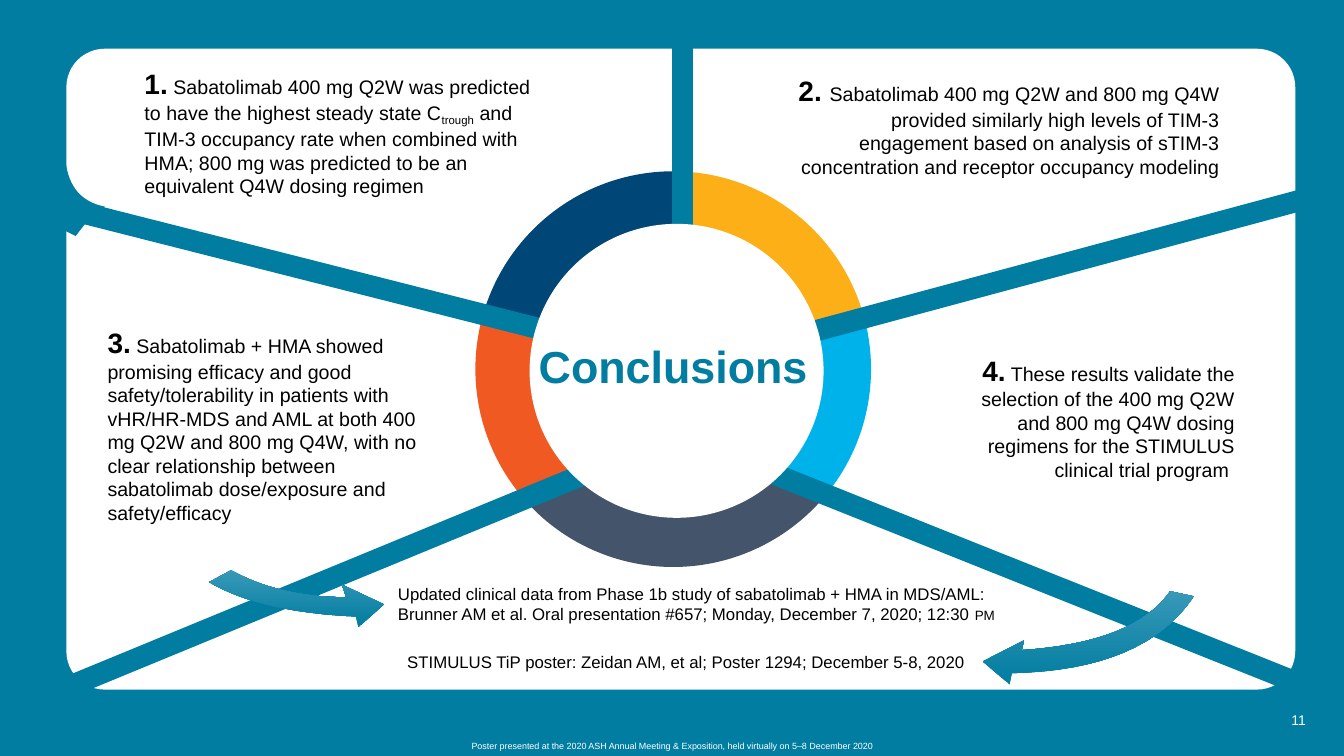
from dataclasses import dataclass

from lxml import etree
from pptx import Presentation
from pptx.dml.color import RGBColor
from pptx.enum.shapes import MSO_CONNECTOR, MSO_SHAPE
from pptx.enum.text import MSO_ANCHOR, MSO_AUTO_SIZE, PP_ALIGN
from pptx.oxml.ns import qn
from pptx.util import Pt

LEFT, CENTER, RIGHT = PP_ALIGN.LEFT, PP_ALIGN.CENTER, PP_ALIGN.RIGHT
TOP, MIDDLE = MSO_ANCHOR.TOP, MSO_ANCHOR.MIDDLE
NO_AUTOFIT = MSO_AUTO_SIZE.NONE
STRAIGHT = MSO_CONNECTOR.STRAIGHT
ROUNDED, PIE, OVAL = MSO_SHAPE.ROUNDED_RECTANGLE, MSO_SHAPE.PIE, MSO_SHAPE.OVAL
CELL, COLUMNS, ROWS = 76200, 160, 90
COMPARISON_LAYOUT = 4
DEGREE = 0.6


@dataclass(frozen=True)
class Theme:
    """Colours and type sizes of the slide."""
    font: str = "Arial"
    teal: str = "007DA0"
    light_teal: str = "3898B8"
    white: str = "FFFFFF"
    black: str = "000000"
    segments: tuple = ("FCAF17", "00B2EA", "44546A", "F15922", "004676")
    title: int = 32
    number: int = 20
    body: int = 14
    reference: int = 12
    footer: int = 11
    page: int = 10
    spoke: float = 15.25


THEME = Theme()
SEGMENT_BOUNDS = (273, 345, 41.5, 136, 196, 273)
SPOKES = (
    ((-11.75, -3.75), (-75.6, -19.95)),
    ((-7.55, 11.25), (-72.2, 37.9)),
    ((11.05, 12.1), (76.95, 38.4)),
    ((13.95, -3.75), (75.4, -20.3)),
    ((1.1, -5.2), (1.1, -40.95)),
)
CONCLUSIONS = (
    ((16, 6.2, 49.8, 19.1), LEFT, "1.", (
        (" Sabatolimab 400 mg Q2W was predicted to have the highest steady state C", {}),
        ("trough", {"baseline": "-25000"}),
        (" and TIM-3 occupancy rate when combined with HMA; 800 mg was predicted "
         "to be an equivalent Q4W dosing regimen", {}))),
    ((92.3, 5.9, 54.1, 18.2), RIGHT, "2. ", (
        ("Sabatolimab 400 mg Q2W and 800 mg Q4W provided similarly high levels of TIM-3 "
         "engagement based on analysis of sTIM-3 concentration and receptor occupancy "
         "modeling", {}),)),
    ((11.6, 38.5, 41.5, 24.2), LEFT, "3.", (
        (" Sabatolimab + HMA showed promising efficacy and good safety/tolerability in "
         "patients with vHR/HR-MDS and AML at both 400 mg Q2W and 800 mg Q4W, with no "
         "clear relationship between sabatolimab dose/exposure and safety/efficacy", {}),)),
    ((113.8, 37.6, 34.4, 24.2), RIGHT, "4.", (
        (" These results validate the selection of the 400 mg Q2W and 800 mg Q4W dosing "
         "regimens for the STIMULUS clinical trial program ", {}),)),
)
ARROWS = (
    ((24.9, 67.9), ((2.6, 0), (8.45, 3.2), (16.3, 3.2)),
     ((15.8, 1.7), (20.8, 4.05), (17.75, 6.8)),
     ((17.5, 5.5), (6.1, 5), (0, 1.4))),
    ((117, 70.4), ((25.1, 0.6), (19.3, 9.4), (3.45, 9.75)),
     ((3.2, 11.1), (0, 8.35), (4.9, 5.85)),
     ((4.65, 7), (18.1, 6.1), (22.3, 0))),
)
CORNER_CURVE = ((-0.1, 13.3), (0.4, 18), (4.6, 18.8))
CORNER_NOTCH = ((2.2, 20.9), (1.1, 22.3), (-0.1, 21.7))


def emu(*cells):
    """Turn grid cells into slide lengths."""
    return [round(cell * CELL) for cell in cells]


def assign(target, **values):
    """Set attributes from a dict of format values."""
    for name, value in values.items():
        setattr(target, name, value)


def paint(shape, color):
    """Give a shape a flat fill without outline or shadow."""
    shape.shadow.inherit = False
    shape.fill.solid()
    shape.fill.fore_color.rgb = RGBColor.from_string(color)
    shape.line.fill.background()


def add_shape(slide, kind, box, color, adjustments=()):
    """Add a flat preset shape."""
    shape = slide.shapes.add_shape(kind, *emu(*box))
    paint(shape, color)
    for index, value in enumerate(adjustments):
        shape.adjustments[index] = value


def curve(start, control, end, steps=16):
    """Sample a quadratic curve."""
    shares = [step / steps for step in range(steps + 1)]
    return [tuple((1 - t) ** 2 * a + 2 * t * (1 - t) * b + t ** 2 * c
                  for a, b, c in zip(start, control, end)) for t in shares]


def add_outline(slide, origin, points, color):
    """Add a flat closed outline of points given from an origin."""
    outline = [emu(origin[0] + x, origin[1] + y) for x, y in points]
    builder = slide.shapes.build_freeform(*outline[0])
    builder.add_line_segments(outline[1:])
    shape = builder.convert_to_shape()
    paint(shape, color)
    return shape


def add_run(paragraph, text, size, color, bold=False, **attributes):
    """Append a formatted run."""
    run = paragraph.add_run()
    run.text = text
    assign(run.font, name=THEME.font, size=Pt(size), bold=bold)
    run.font.color.rgb = RGBColor.from_string(color)
    for name, value in attributes.items():
        run._r.get_or_add_rPr().set(name, value)


def set_text_box(shape, box, align, anchor=MIDDLE):
    """Place a text shape on top and return its first paragraph."""
    assign(shape, **dict(zip(("left", "top", "width", "height"), emu(*box))))
    shape.element.getparent().append(shape.element)
    frame = shape.text_frame
    assign(frame, word_wrap=True, auto_size=NO_AUTOFIT, vertical_anchor=anchor)
    paragraph = frame.paragraphs[0]
    assign(paragraph, alignment=align, space_before=Pt(0))
    return paragraph


def add_label(slide, box, text, size, anchor, **attributes):
    """Add a centred white line of text."""
    shape = slide.shapes.add_textbox(*emu(*box))
    paragraph = set_text_box(shape, box, CENTER, anchor)
    add_run(paragraph, text, size, THEME.white, **attributes)


def draw_panel(slide, box):
    """Draw the white panel and round its upper left sector."""
    add_shape(slide, ROUNDED, box, THEME.white, (0.06,))
    add_outline(slide, box[:2], (*curve(*CORNER_CURVE), *CORNER_NOTCH), THEME.teal)


def draw_wheel(slide, box):
    """Draw the coloured ring, the spokes and the hub."""
    left, top, width, height = box
    x, y = left + width / 2, top + height / 2
    for color, start, end in zip(THEME.segments, SEGMENT_BOUNDS, SEGMENT_BOUNDS[1:]):
        add_shape(slide, PIE, box, color, (start * DEGREE, end * DEGREE))
    for (x1, y1), (x2, y2) in SPOKES:
        spoke = slide.shapes.add_connector(STRAIGHT, *emu(x + x1, y + y1, x + x2, y + y2))
        spoke.line.width = Pt(THEME.spoke)
        spoke.line.color.rgb = RGBColor.from_string(THEME.teal)
        etree.SubElement(spoke.element.spPr, qn("a:effectLst"))
    hub = 35
    add_shape(slide, OVAL, (x + 0.4 - hub / 2, y + 0.2 - hub / 2, hub, hub), THEME.white)


def draw_arrow(slide, origin, outer, head, inner):
    """Draw a curved arrow from its two edges and its head."""
    arrow = add_outline(slide, origin, (*curve(*outer), *head, *curve(*inner)), THEME.teal)
    arrow.fill.gradient()
    arrow.fill.gradient_angle = 90
    for stop, color in zip(arrow.fill.gradient_stops, (THEME.teal, THEME.light_teal)):
        stop.color.rgb = RGBColor.from_string(color)


def write_conclusion(shape, box, align, number, parts):
    """Write one numbered conclusion in a body placeholder."""
    paragraph = set_text_box(shape, box, align)
    properties = paragraph._p.get_or_add_pPr()
    for name in ("marL", "indent"):
        properties.set(name, "0")
    etree.SubElement(properties, qn("a:buNone"))
    add_run(paragraph, number, THEME.number, THEME.black, True)
    for text, attributes in parts:
        add_run(paragraph, text, THEME.body, THEME.black, **attributes)


def write_references(slide, box):
    """Write the two related presentations."""
    shape = slide.shapes.add_textbox(*emu(*box))
    talk = set_text_box(shape, box, LEFT)
    talk._p.get_or_add_pPr().set("marL", str(3 * CELL))
    poster = shape.text_frame.add_paragraph()
    assign(poster, alignment=CENTER, space_before=Pt(20))
    style = (THEME.reference, THEME.black)
    add_run(talk, "Updated clinical data from Phase 1b study of sabatolimab + HMA in MDS/AML: "
            "Brunner AM et al. Oral presentation #657; Monday, December 7, 2020; 12:30 ", *style)
    add_run(talk, "pm", *style, cap="small")
    add_run(poster, "STIMULUS TiP poster: Zeidan AM, et al; Poster 1294; December 5-8, 2020", *style)


def main():
    """Build the conclusions slide."""
    presentation = Presentation()
    assign(presentation, slide_width=COLUMNS * CELL, slide_height=ROWS * CELL)
    slide = presentation.slides.add_slide(presentation.slide_layouts[COMPARISON_LAYOUT])
    slide.background.fill.solid()
    slide.background.fill.fore_color.rgb = RGBColor.from_string(THEME.teal)
    title, *bodies = slide.placeholders
    draw_panel(slide, (7.9, 5.8, 146.3, 76.3))
    draw_wheel(slide, (56.6, 20.4, 47.1, 47.1))
    add_label(slide, (45.4, 87.3, 69.2, 2.7), "Poster presented at the 2020 ASH Annual Meeting "
              "& Exposition, held virtually on 5–8 December 2020", THEME.footer, TOP, baseline="30000")
    heading = set_text_box(title, (62.2, 39.7, 35.9, 7.7), CENTER)
    add_run(heading, "Conclusions", THEME.title, THEME.teal, True)
    add_label(slide, (151.4, 83.3, 6.4, 4.9), "11", THEME.page, MIDDLE)
    for body, conclusion in zip(bodies, CONCLUSIONS):
        write_conclusion(body, *conclusion)
    write_references(slide, (43.2, 68.5, 77, 12.5))
    for arrow in ARROWS:
        draw_arrow(slide, *arrow)
    presentation.save("out.pptx")


if __name__ == "__main__":
    main()
